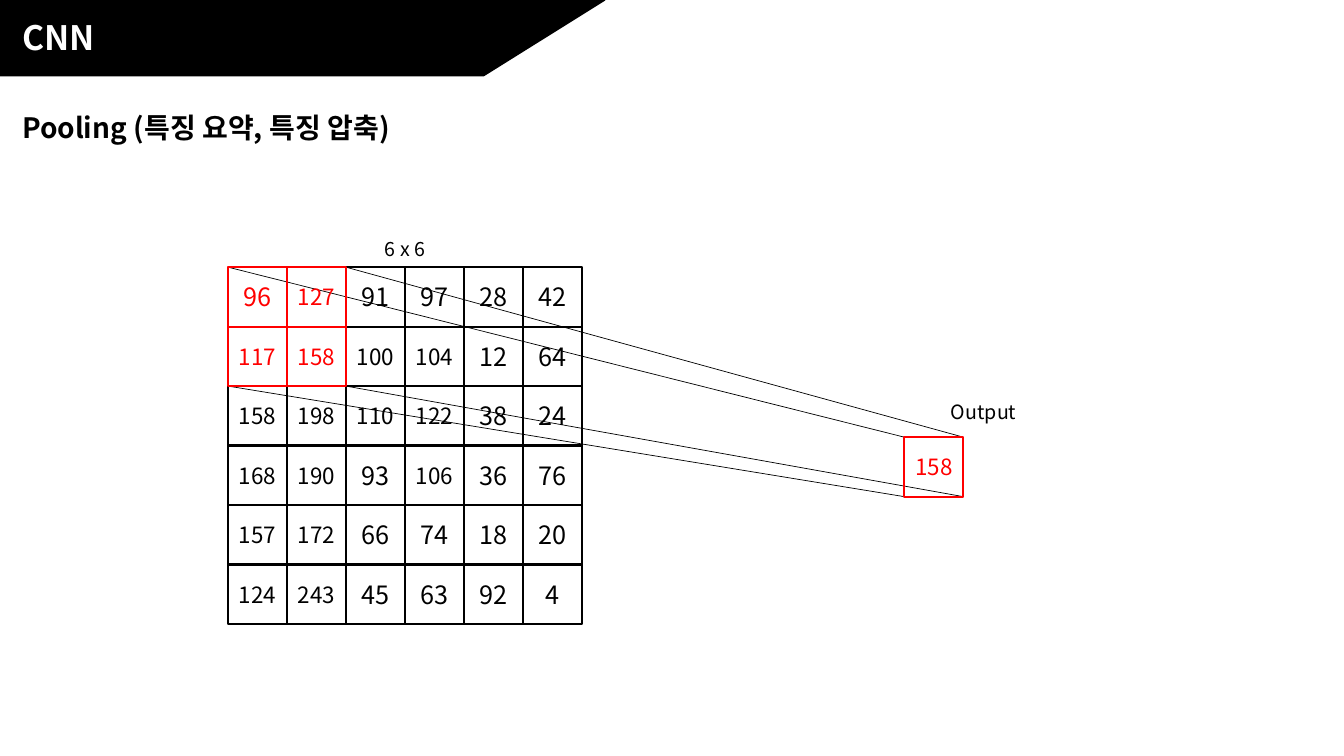
from dataclasses import dataclass
from itertools import product
from typing import Any, Optional

from lxml.etree import SubElement
from pptx import Presentation
from pptx.dml.color import RGBColor
from pptx.enum.shapes import MSO_CONNECTOR, MSO_SHAPE
from pptx.enum.text import MSO_ANCHOR, PP_ALIGN
from pptx.oxml.ns import qn
from pptx.util import Inches, Pt


@dataclass(frozen=True)
class Theme:
    font: str = "Noto Sans CJK KR"
    ink: RGBColor = RGBColor(0, 0, 0)
    paper: RGBColor = RGBColor(255, 255, 255)
    accent: RGBColor = RGBColor(255, 0, 0)
    title: int = 24
    heading: int = 20
    label: int = 14
    short_number: int = 18
    long_number: int = 16
    cell_line: float = 1.5
    banner_line: float = 1
    ray_line: float = 0.5


@dataclass(frozen=True)
class Grid:
    left: float
    top: float
    col: float
    row: float

    def point(self, col: float, row: float) -> tuple[int, int]:
        return Inches(self.left + col * self.col), Inches(self.top + row * self.row)

    def box(self, col: float, row: float, cols: float, rows: float) -> tuple[int, ...]:
        return *self.point(col, row), Inches(cols * self.col), Inches(rows * self.row)


@dataclass(frozen=True)
class Label:
    text: str
    box: tuple[int, ...]
    size: int
    color: RGBColor
    bold: bool = False
    align: PP_ALIGN = PP_ALIGN.LEFT


@dataclass(frozen=True)
class Cell:
    value: int
    col: float
    row: float
    color: RGBColor


THEME = Theme()
WIDTH, HEIGHT = 13.33, 7.5
PERCENT = Grid(0, 0, WIDTH / 100, HEIGHT / 100)
MATRIX = Grid(2.26, 2.65, 3.51 / 6, 3.54 / 6)
VALUES = (
    (96, 127, 91, 97, 28, 42),
    (117, 158, 100, 104, 12, 64),
    (158, 198, 110, 122, 38, 24),
    (168, 190, 93, 106, 36, 76),
    (157, 172, 66, 74, 18, 20),
    (124, 243, 45, 63, 92, 4),
)
POOL = 2
OUTPUT_COL, OUTPUT_ROW = 11.47, 2.86


def apply(target: Any, values: dict[str, Any]) -> None:
    for name, value in values.items():
        setattr(target, name, value)


def write(tf: Any, text: str, size: int, color: RGBColor,
          bold: bool = False, align: PP_ALIGN = PP_ALIGN.LEFT) -> None:
    p = tf.paragraphs[0]
    p.alignment = align
    r = p.add_run()
    r.text = text
    apply(r.font, {"size": Pt(size), "bold": bold, "name": THEME.font})
    r.font.color.rgb = color
    SubElement(r.font._element, qn("a:ea"), typeface=THEME.font)


def add_label(s: Any, label: Label) -> None:
    tf = s.shapes.add_textbox(*label.box).text_frame
    tf.word_wrap = True
    write(tf, label.text, label.size, label.color, label.bold, label.align)


def add_block(s: Any, kind: MSO_SHAPE, box: tuple[int, ...], line: RGBColor,
              width: float, fill: Optional[RGBColor] = None) -> Any:
    sp = s.shapes.add_shape(kind, *box)
    sp.shadow.inherit = False
    if fill is None:
        sp.fill.background()
    else:
        sp.fill.solid()
        sp.fill.fore_color.rgb = fill
    sp.line.color.rgb = line
    sp.line.width = Pt(width)
    return sp


def add_cell(s: Any, cell: Cell) -> None:
    box = MATRIX.box(cell.col, cell.row, 1, 1)
    tf = add_block(s, MSO_SHAPE.RECTANGLE, box, cell.color, THEME.cell_line).text_frame
    apply(tf, {"margin_left": 0, "margin_right": 0, "word_wrap": True,
               "vertical_anchor": MSO_ANCHOR.MIDDLE})
    size = THEME.long_number if cell.value > 99 else THEME.short_number
    write(tf, str(cell.value), size, cell.color, align=PP_ALIGN.CENTER)


def add_ray(s: Any, start: tuple[int, int], end: tuple[int, int]) -> None:
    ray = s.shapes.add_connector(MSO_CONNECTOR.STRAIGHT, *start, *end)
    ray.line.color.rgb = THEME.ink
    ray.line.width = Pt(THEME.ray_line)
    SubElement(ray._element.spPr, qn("a:effectLst"))


def matrix_cells() -> list[Cell]:
    cells = [
        Cell(value, col, row, THEME.accent if max(col, row) < POOL else THEME.ink)
        for row, values in enumerate(VALUES)
        for col, value in enumerate(values)
    ]
    return sorted(cells, key=lambda cell: cell.color == THEME.accent)


def main() -> None:
    prs = Presentation()
    apply(prs, {"slide_width": Inches(WIDTH), "slide_height": Inches(HEIGHT)})
    s = prs.slides.add_slide(prs.slide_layouts[6])

    for dx, dy in product((0, 1), repeat=2):
        add_ray(s, MATRIX.point(dx * POOL, dy * POOL),
                MATRIX.point(OUTPUT_COL + dx, OUTPUT_ROW + dy))

    for kind, share in ((MSO_SHAPE.RECTANGLE, 14.85), (MSO_SHAPE.FLOWCHART_DATA, 45)):
        add_block(s, kind, PERCENT.box(0, 0, share, 10),
                  THEME.ink, THEME.banner_line, THEME.ink)

    labels = (
        Label("CNN", PERCENT.box(0.9, 1.6, 27.83, 6.67), THEME.title, THEME.paper, True),
        Label("Pooling (특징 요약, 특징 압축)", PERCENT.box(0.9, 14, 63.32, 5.87),
              THEME.heading, THEME.ink, True),
        Label("6 x 6", MATRIX.box(1.49, -0.59, 3.03, 0.58), THEME.label, THEME.ink,
              align=PP_ALIGN.CENTER),
        Label("Output", MATRIX.box(11.3, 2.15, 3.03, 0.58), THEME.label, THEME.ink,
              align=PP_ALIGN.CENTER),
    )
    for label in labels:
        add_label(s, label)

    pooled = max(value for values in VALUES[:POOL] for value in values[:POOL])
    for cell in (Cell(pooled, OUTPUT_COL, OUTPUT_ROW, THEME.accent), *matrix_cells()):
        add_cell(s, cell)

    prs.save("out.pptx")


if __name__ == "__main__":
    main()
